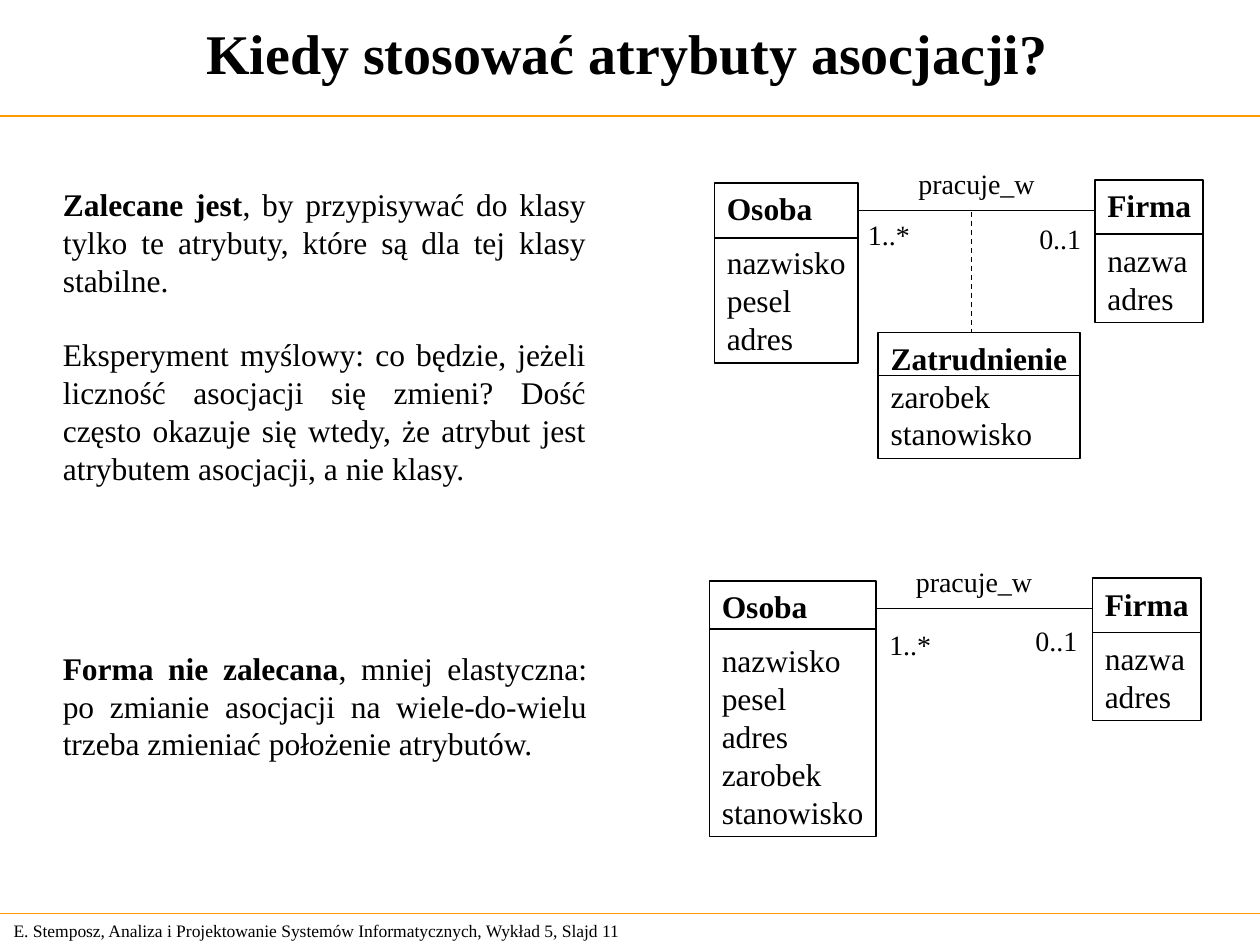
from pptx import Presentation
from pptx.dml.color import RGBColor
from pptx.enum.dml import MSO_LINE
from pptx.enum.shapes import MSO_CONNECTOR, MSO_SHAPE
from pptx.enum.text import MSO_ANCHOR, MSO_AUTO_SIZE, PP_ALIGN
from pptx.oxml.ns import qn
from pptx.util import Inches, Pt

BLACK = RGBColor(0x00, 0x00, 0x00)
ORANGE = RGBColor(0xFF, 0x99, 0x00)
FONT = "Times New Roman"
LEFT, CENTER, JUSTIFY = PP_ALIGN.LEFT, PP_ALIGN.CENTER, PP_ALIGN.JUSTIFY
TOP, MIDDLE = MSO_ANCHOR.TOP, MSO_ANCHOR.MIDDLE
FIT_SHAPE = MSO_AUTO_SIZE.SHAPE_TO_FIT_TEXT
NO_FIT = MSO_AUTO_SIZE.NONE
STRAIGHT = MSO_CONNECTOR.STRAIGHT
RECTANGLE = MSO_SHAPE.RECTANGLE
DASH = MSO_LINE.DASH

SLIDE_WIDTH, SLIDE_HEIGHT = 10, 7.5
NAME_GAP = 9.5    # points between a class name and its attributes
PARAGRAPH_GAP = 21


def set_format(target, values):
    for name, value in values.items():
        setattr(target, name, value)


def fill_text(shape, paragraphs, size, align=LEFT, gaps=None, **frame_values):
    """Each paragraph is a list of (text, bold) runs; gaps maps index to points."""
    frame = shape.text_frame
    set_format(frame, {"word_wrap": True, "auto_size": FIT_SHAPE,
                       "vertical_anchor": TOP, **frame_values})
    for index, runs in enumerate(paragraphs):
        paragraph = frame.paragraphs[0] if index == 0 else frame.add_paragraph()
        paragraph.alignment = align
        if gaps and index in gaps:
            paragraph.space_before = Pt(gaps[index])
        for text, bold in runs:
            run = paragraph.add_run()
            run.text = text
            set_format(run.font, {"name": FONT, "size": Pt(size), "bold": bold})
            run.font.color.rgb = BLACK


def add_text(slide, box, paragraphs, size, **values):
    shape = slide.shapes.add_textbox(*map(Inches, box))
    fill_text(shape, paragraphs, size, **values)


def add_line(slide, start, end, color=BLACK, width=1, dash=None):
    line = slide.shapes.add_connector(STRAIGHT, *map(Inches, start + end))
    line.line.color.rgb = color
    line.line.width = Pt(width)
    if dash:
        line.line.dash_style = dash
    properties = line._element.spPr
    properties.append(properties.makeelement(qn("a:effectLst"), {}))


def add_frame(slide):
    """Footer, rules and title."""
    footer = "E. Stemposz, Analiza i Projektowanie Systemów Informatycznych, Wykład 5, Slajd 11"
    add_text(slide, (0.01, 7.25, 5.24, 0.27), [[(footer, False)]], 10,
             vertical_anchor=MIDDLE)
    for y in (0.92, 7.25):
        add_line(slide, (0, y), (SLIDE_WIDTH, y), ORANGE, 0.75)
    add_text(slide, (0, -0.01, 9.96, 0.85),
             [[("Kiedy stosować atrybuty asocjacji?", True)]], 32,
             align=CENTER, vertical_anchor=MIDDLE, auto_size=NO_FIT)


def add_class(slide, box, divider, name, attributes, gap=NAME_GAP):
    """UML class: name, divider line, attributes."""
    left, top, width, _ = box
    shape = slide.shapes.add_shape(RECTANGLE, *map(Inches, box))
    shape.shadow.inherit = False
    shape.fill.background()
    shape.line.color.rgb = BLACK
    shape.line.width = Pt(1)
    paragraphs = [[(name, True)]] + [[(text, False)] for text in attributes]
    # No right margin, so that the longest word stays on one line
    fill_text(shape, paragraphs, 18, gaps={1: gap}, auto_size=NO_FIT,
              margin_right=0)
    add_line(slide, (left, top + divider), (left + width, top + divider))


def add_association(slide, person, person_divider, person_attributes, company,
                    many_offset, one_offset):
    """Osoba and Firma joined by pracuje_w; offsets place the multiplicities."""
    add_class(slide, person, person_divider, "Osoba", person_attributes)
    add_class(slide, company, 0.43, "Firma", ["nazwa", "adres"])
    person_right = person[0] + person[2]
    company_left, top = company[:2]
    line_y = top + 0.24
    add_line(slide, (person_right, line_y), (company_left, line_y))
    labels = [
        ("pracuje_w", company_left - 1.5, top - 0.16, 1.12),
        ("0..1", company_left + one_offset[0], top + one_offset[1], 0.53),
        ("1..*", person_right + many_offset[0], top + many_offset[1], 0.53),
    ]
    for text, left, label_top, width in labels:
        add_text(slide, (left, label_top, width, 0.37), [[(text, False)]], 16,
                 word_wrap=False)


def add_recommended(slide, left, top):
    """Attributes kept in an association class."""
    add_association(slide, (left, top + 0.02, 1.14, 1.43), 0.44,
                    ["nazwisko", "pesel", "adres"],
                    (left + 3.02, top, 0.86, 1.13), (-0.02, 0.25), (-0.54, 0.28))
    add_line(slide, (left + 2.04, top + 0.25), (left + 2.04, top + 1.21),
             width=0.75, dash=DASH)
    add_class(slide, (left + 1.3, top + 1.21, 1.6, 1), 0.34, "Zatrudnienie",
              ["zarobek", "stanowisko"], gap=0)


def add_discouraged(slide, left, top):
    """Attributes kept in the Osoba class."""
    add_association(slide, (left, top + 0.02, 1.32, 2.03), 0.38,
                    ["nazwisko", "pesel", "adres", "zarobek", "stanowisko"],
                    (left + 3.04, top, 0.86, 1.13), (0.01, 0.34), (-0.55, 0.31))


def add_advice(slide, left):
    """Explanations beside the two diagrams."""
    add_text(slide, (left, 1.42, 4.35, 2.5), [
        [("Zalecane jest", True),
         (", by przypisywać do klasy tylko te atrybuty, które są dla tej klasy stabilne.", False)],
        [("Eksperyment myślowy: co będzie, jeżeli liczność asocjacji się zmieni? "
          "Dość często okazuje się wtedy, że atrybut jest atrybutem asocjacji, "
          "a nie klasy.", False)],
    ], 18, align=JUSTIFY, gaps={1: PARAGRAPH_GAP})
    add_text(slide, (left, 5.1, 4.36, 1), [
        [("Forma nie zalecana", True),
         (", mniej elastyczna: po zmianie asocjacji na wiele-do-wielu "
          "trzeba zmieniać położenie atrybutów.", False)],
    ], 18, align=JUSTIFY)


def main():
    presentation = Presentation()
    presentation.slide_width = Inches(SLIDE_WIDTH)
    presentation.slide_height = Inches(SLIDE_HEIGHT)
    slide = presentation.slides.add_slide(presentation.slide_layouts[6])
    add_frame(slide)
    add_advice(slide, 0.4)
    add_recommended(slide, 5.67, 1.43)
    add_discouraged(slide, 5.63, 4.59)
    presentation.save("out.pptx")


if __name__ == "__main__":
    main()
